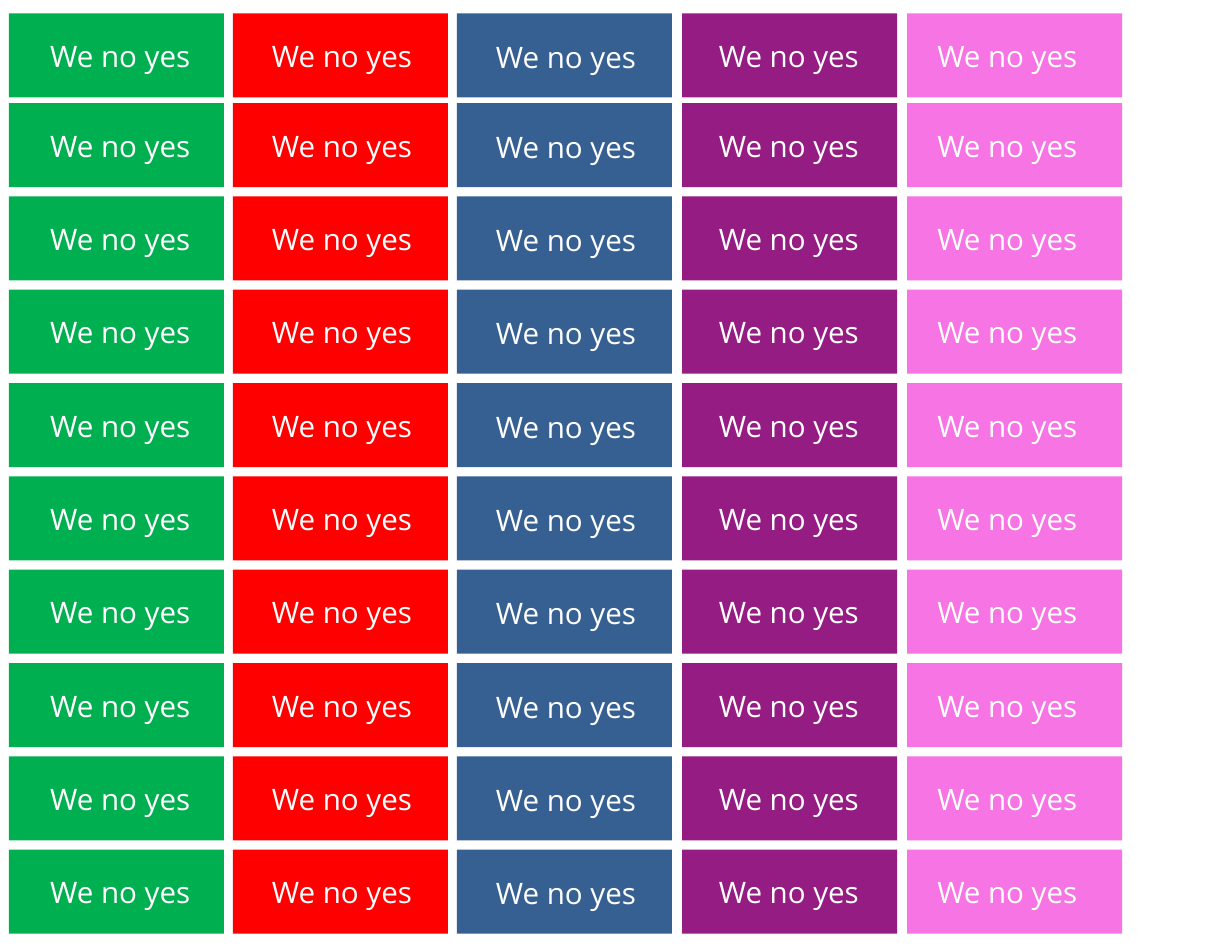
from pptx import Presentation
from pptx.dml.color import RGBColor
from pptx.enum.shapes import MSO_SHAPE
from pptx.enum.text import MSO_AUTO_SIZE
from pptx.util import Inches, Pt

RECT = MSO_SHAPE.RECTANGLE
GROW = MSO_AUTO_SIZE.SHAPE_TO_FIT_TEXT
COLORS = {"green": "00B050", "red": "FF0000", "blue": "376092",
          "purple": "941C83", "pink": "F674E3", "white": "FFFFFF"}
FONT = "Open Sans"
LABEL = "We no yes"
CARD_W, CARD_H = 1.92, 0.75
TEXT_W, TEXT_H = 1.45, 0.42
ROWS = 10
FIRST, SECOND, PITCH = 0.12, 0.92, 5 / 6
COLUMNS = [("green", 0.08, 0.27, 0.17), ("red", 2.08, 0.25, 0.17),
           ("blue", 4.08, 0.25, 0.18), ("purple", 6.09, 0.23, 0.17),
           ("pink", 8.1, 0.17, 0.17)]


def add_card(slide, left, top, color, dx, dy):
    """Place one coloured card with its label set in by dx and dy."""
    card = slide.shapes.add_shape(RECT, Inches(left), Inches(top),
                                  Inches(CARD_W), Inches(CARD_H))
    card.shadow.inherit = False
    card.fill.solid()
    card.fill.fore_color.rgb = RGBColor.from_string(COLORS[color])
    card.line.fill.background()
    label = slide.shapes.add_textbox(Inches(left + dx), Inches(top + dy),
                                     Inches(TEXT_W), Inches(TEXT_H))
    frame = label.text_frame
    frame.word_wrap = False
    frame.auto_size = GROW
    run = frame.paragraphs[0].add_run()
    run.text = LABEL
    run.font.size = Pt(19)
    run.font.name = FONT
    run.font.color.rgb = RGBColor.from_string(COLORS["white"])


def add_column(slide, color, left, dx, dy):
    """Stack one column of cards in a single colour."""
    tops = [FIRST] + [SECOND + PITCH * row for row in range(ROWS - 1)]
    for top in tops:
        add_card(slide, left, top, color, dx, dy)


def main():
    """Build the sheet of cards and save it."""
    deck = Presentation()
    deck.slide_width, deck.slide_height = Inches(11), Inches(8.5)
    slide = deck.slides.add_slide(deck.slide_layouts[6])
    for column in COLUMNS:
        add_column(slide, *column)
    deck.save("out.pptx")


main()
